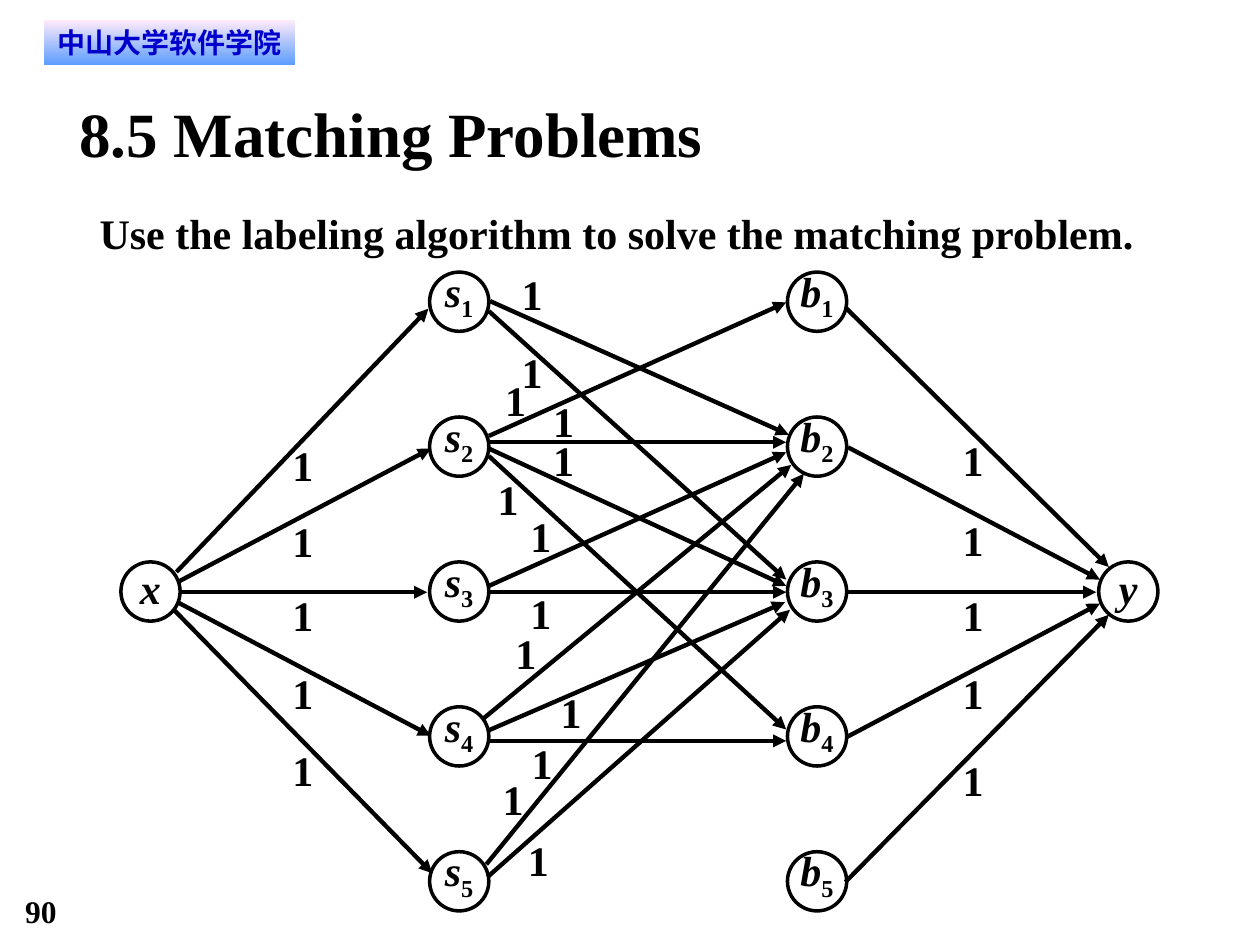
"""Build the bipartite matching network slide."""
from dataclasses import dataclass

from lxml import etree
from pptx import Presentation
from pptx.dml.color import RGBColor
from pptx.enum.shapes import MSO_CONNECTOR, MSO_SHAPE
from pptx.enum.text import MSO_ANCHOR, MSO_AUTO_SIZE, PP_ALIGN
from pptx.oxml.ns import qn
from pptx.util import Inches, Pt

STRAIGHT = MSO_CONNECTOR.STRAIGHT
OVAL, RECTANGLE = MSO_SHAPE.OVAL, MSO_SHAPE.RECTANGLE
MIDDLE, BOTTOM = MSO_ANCHOR.MIDDLE, MSO_ANCHOR.BOTTOM
GROW = MSO_AUTO_SIZE.SHAPE_TO_FIT_TEXT
CENTER = PP_ALIGN.CENTER


@dataclass(frozen=True)
class Theme:
    ink: RGBColor = RGBColor(0, 0, 0)
    school: RGBColor = RGBColor(0, 0, 0xCC)
    banner_top: RGBColor = RGBColor(0xFF, 0xEB, 0xFA)
    banner_bottom: RGBColor = RGBColor(0x5E, 0x9E, 0xFF)
    serif: str = "Times New Roman"
    sans: str = "DejaVu Sans"
    title: int = 36
    body: int = 24
    number: int = 18
    banner: int = 16
    outline: float = 2
    edge: float = 2.5


NODE_SIZE = 0.47
STUDENT_LEFT, BOOK_LEFT = 3.41, 6.25
ROW_TOP, ROW_STEP, ROWS = 2.16, 1.15, 5
HUBS = {"x": 0.96, "y": 8.72}

STUDENT_BOOK_EDGES = [
    (3.88, 3.46, 6.24, 2.4), (3.89, 2.39, 6.26, 3.45), (3.88, 2.47, 6.24, 4.6),
    (3.88, 3.51, 6.24, 3.51), (3.88, 3.56, 6.24, 4.65), (3.88, 3.62, 6.24, 5.79),
    (3.88, 4.65, 6.24, 3.59), (3.84, 5.7, 6.28, 3.69), (3.86, 6.86, 6.38, 3.76),
    (3.87, 6.96, 6.27, 4.84), (3.87, 5.8, 6.23, 4.78), (3.88, 4.7, 6.24, 4.7),
    (3.88, 5.88, 6.24, 5.88),
]
SOURCE_EDGES = [
    (1.42, 4.7, 3.39, 4.7), (1.41, 4.62, 3.42, 3.56), (1.4, 4.54, 3.4, 2.45),
    (1.41, 4.78, 3.42, 5.84), (1.38, 4.84, 3.43, 6.93),
]
SINK_EDGES = [
    (6.73, 4.7, 8.7, 4.7), (6.72, 2.45, 8.8, 4.5), (6.73, 3.55, 8.73, 4.6),
    (6.71, 7, 8.8, 4.88), (6.72, 5.85, 8.73, 4.79),
]
SOURCE_CAPACITIES = [(2.32, top) for top in (3.49, 4.09, 4.68, 5.3, 5.91)]
SINK_CAPACITIES = [(7.64, top) for top in (3.45, 4.08, 4.68, 5.3, 5.99)]
MATCH_CAPACITIES = [
    (4.14, 2.13), (4.14, 2.75), (4.01, 2.97), (4.39, 3.14), (4.39, 3.45),
    (3.95, 3.76), (4.21, 4.05), (4.21, 4.66), (4.09, 4.98), (4.45, 5.45),
    (4.22, 5.85), (3.99, 6.14), (4.19, 6.62),
]


class SlideBuilder:
    def __init__(self, page, theme):
        self.shapes = page.shapes
        self.theme = theme

    def style(self, span, size, color=None, name=None, italic=False):
        font = span.font
        font.size, font.bold, font.italic = Pt(size), True, italic
        font.name = name or self.theme.serif
        font.color.rgb = color or self.theme.ink
        east_asian = etree.SubElement(span._r.get_or_add_rPr(), qn("a:ea"))
        east_asian.set("typeface", font.name)

    def frame(self, box, inset_x=0, inset_y=0, wrap=True):
        frame = box.text_frame
        frame.margin_left = frame.margin_right = Inches(inset_x)
        frame.margin_top = frame.margin_bottom = Inches(inset_y)
        frame.word_wrap = wrap
        return frame

    def text(self, words, left, top, width, height, size, wrap=True, spacing=None):
        box = self.shapes.add_textbox(
            Inches(left), Inches(top), Inches(width), Inches(height))
        frame = self.frame(box, wrap=wrap)
        frame.auto_size = GROW
        frame.text = words
        para = frame.paragraphs[0]
        if spacing:
            para.line_spacing = spacing
        self.style(para.runs[0], size)

    def banner(self, words, left, top, width, height):
        box = self.shapes.add_shape(
            RECTANGLE, Inches(left), Inches(top), Inches(width), Inches(height))
        box.shadow.inherit = False
        box.line.fill.background()
        box.fill.gradient()
        box.fill.gradient_angle = 270
        first, last = box.fill.gradient_stops
        first.position, last.position = 0, 1
        first.color.rgb = self.theme.banner_top
        last.color.rgb = self.theme.banner_bottom
        frame = self.frame(box, 0.08, 0.04)
        frame.vertical_anchor = MIDDLE
        frame.text = words
        para = frame.paragraphs[0]
        para.alignment = CENTER
        self.style(para.runs[0], self.theme.banner, self.theme.school, self.theme.sans)

    def node(self, letter, left, top, index=""):
        circle = self.shapes.add_shape(
            OVAL, Inches(left), Inches(top), Inches(NODE_SIZE), Inches(NODE_SIZE))
        circle.shadow.inherit = False
        circle.fill.background()
        circle.line.color.rgb = self.theme.ink
        circle.line.width = Pt(self.theme.outline)
        frame = self.frame(circle, wrap=False)
        frame.vertical_anchor = BOTTOM
        frame.text = letter
        para = frame.paragraphs[0]
        para.alignment = CENTER
        self.style(para.runs[0], self.theme.body, italic=True)
        if index:
            span = para.add_run()
            span.text = index
            self.style(span, self.theme.body)
            span._r.get_or_add_rPr().set("baseline", "-25000")

    def arrow(self, *ends):
        edge = self.shapes.add_connector(STRAIGHT, *map(Inches, ends))
        edge.line.color.rgb = self.theme.ink
        edge.line.width = Pt(self.theme.edge)
        head = etree.SubElement(edge.line._get_or_add_ln(), qn("a:tailEnd"))
        head.set("type", "triangle")
        etree.SubElement(edge._element.spPr, qn("a:effectLst"))

    def capacity(self, left, top):
        self.text("1", left, top, 0.17, 0.4, self.theme.body, wrap=False)


def main():
    deck = Presentation()
    deck.slide_width, deck.slide_height = Inches(10), Inches(7.5)
    theme = Theme()
    slide = SlideBuilder(deck.slides.add_slide(deck.slide_layouts[6]), theme)

    slide.text("90", 0.2, 7.08, 0.75, 0.3, theme.number)
    slide.banner("中山大学软件学院", 0.35, 0.16, 1.99, 0.35)
    slide.text("Use the labeling algorithm to solve the matching problem.",
               0.79, 1.57, 8.7, 0.48, theme.body, spacing=1.2)
    slide.text("8.5 Matching Problems", 0.63, 0.75, 8.75, 0.6, theme.title)

    for letter, left in (("s", STUDENT_LEFT), ("b", BOOK_LEFT)):
        for row in range(ROWS):
            slide.node(letter, left, ROW_TOP + row * ROW_STEP, str(row + 1))
    for letter, left in HUBS.items():
        slide.node(letter, left, ROW_TOP + 2 * ROW_STEP)
    for ends in STUDENT_BOOK_EDGES + SOURCE_EDGES + SINK_EDGES:
        slide.arrow(*ends)
    for place in SOURCE_CAPACITIES + SINK_CAPACITIES + MATCH_CAPACITIES:
        slide.capacity(*place)

    deck.save("out.pptx")


if __name__ == "__main__":
    main()
